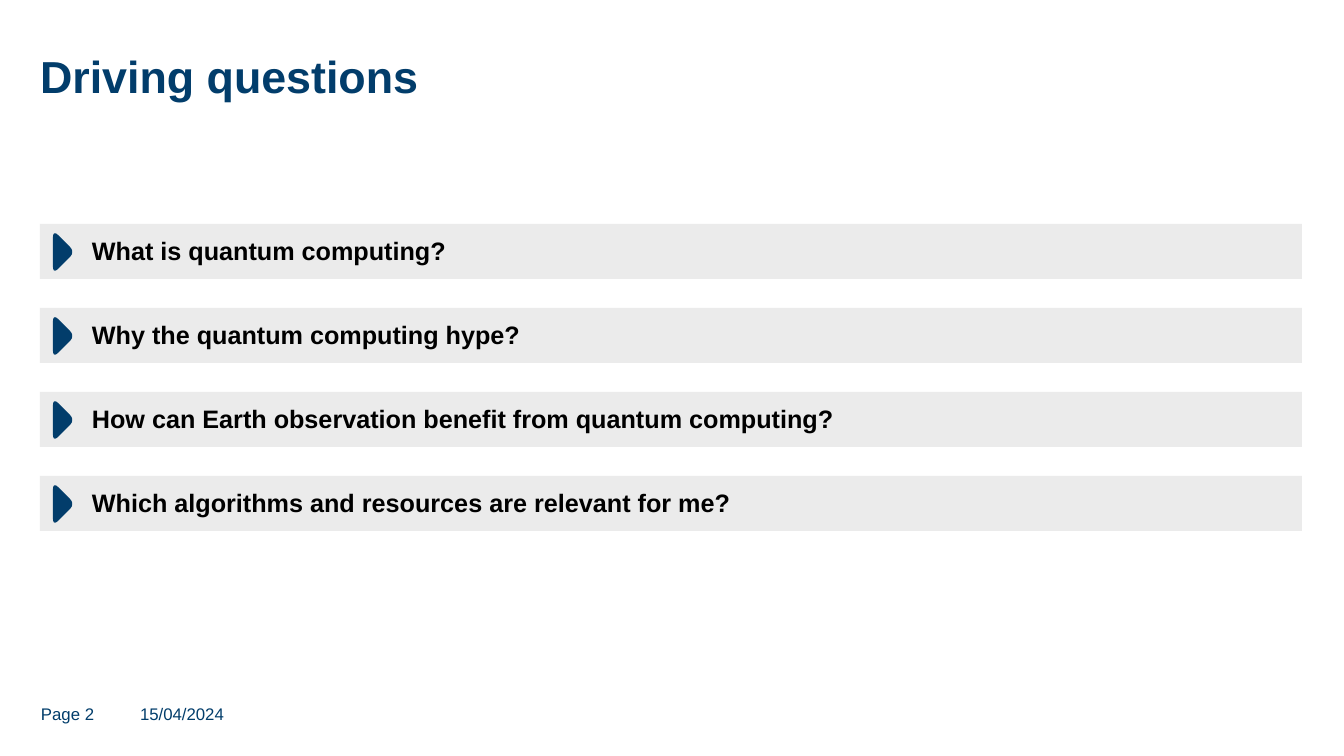
"""Build the slide of driving questions."""
from pptx import Presentation
from pptx.dml.color import RGBColor
from pptx.enum.shapes import MSO_SHAPE
from pptx.enum.text import MSO_ANCHOR, PP_ALIGN
from pptx.util import Pt

RECT = MSO_SHAPE.RECTANGLE
TOP, MIDDLE = MSO_ANCHOR.TOP, MSO_ANCHOR.MIDDLE
LEFT = PP_ALIGN.LEFT
PX = 12192000 / 1344
NAVY, GREY, BLACK = "023D6B", "EBEBEB", "000000"


def paint(shape, color):
    shape.fill.solid()
    shape.fill.fore_color.rgb = RGBColor.from_string(color)
    shape.line.fill.background()
    shape.shadow.inherit = False


def write(shape, text, size=12, color=NAVY, bold=False, anchor=TOP, inset=(0, 0, 0, 0), spacing=1.0):
    frame = shape.text_frame
    frame.word_wrap = True
    frame.vertical_anchor = anchor
    sides = [round(side * PX) for side in inset]
    frame.margin_left, frame.margin_top, frame.margin_right, frame.margin_bottom = sides
    frame.text = text
    para = frame.paragraphs[0]
    para.alignment = LEFT
    para.line_spacing = spacing
    font = para.runs[0].font
    font.name, font.size, font.bold = "Arial", Pt(size), bold
    font.color.rgb = RGBColor.from_string(color)


deck = Presentation()
deck.slide_width, deck.slide_height = round(1344 * PX), round(756 * PX)
slide = deck.slides.add_slide(deck.slide_layouts[5])
shapes = slide.shapes

title = shapes.title
title.left, title.top, title.width, title.height = [round(n * PX) for n in (40, 35, 1262, 73)]
write(title, "Driving questions", size=32, bold=True, anchor=MIDDLE, spacing=1.14)

curves = [
    [(0, 43), (0, 47), (2, 48), (5, 45)],
    [(17, 33), (20, 30), (20, 26), (17, 23)],
    [(5, 11), (2, 8), (0, 9), (0, 13)],
]
edge = []
for a, b, c, d in curves:
    for step in range(9):
        t = step / 8
        u = 1 - t
        edge.append([
            u**3 * p + 3 * u**2 * t * q + 3 * u * t**2 * r + t**3 * s
            for p, q, r, s in zip(a, b, c, d)
        ])

topics = [
    "What is quantum computing?",
    "Why the quantum computing hype?",
    "How can Earth observation benefit from quantum computing?",
    "Which algorithms and resources are relevant for me?",
]
for row, topic in enumerate(topics):
    top = 224 + 84 * row
    bar = shapes.add_shape(RECT, *[round(n * PX) for n in (40, top, 1262, 55)])
    paint(bar, GREY)
    write(bar, topic, size=18, color=BLACK, bold=True, anchor=MIDDLE,
          inset=(52, 5, 10, 5), spacing=0.95)
    points = [(round(10 * (53 + x)), round(10 * (top + y))) for x, y in edge]
    pen = shapes.build_freeform(*points[0], scale=PX / 10)
    pen.add_line_segments(points[1:], close=True)
    paint(pen.convert_to_shape(), NAVY)

for text, left, width in [("15/04/2024", 140, 176), ("Page 2", 41, 80)]:
    note = shapes.add_textbox(*[round(n * PX) for n in (left, 704, width, 24)])
    write(note, text)

deck.save("out.pptx")
